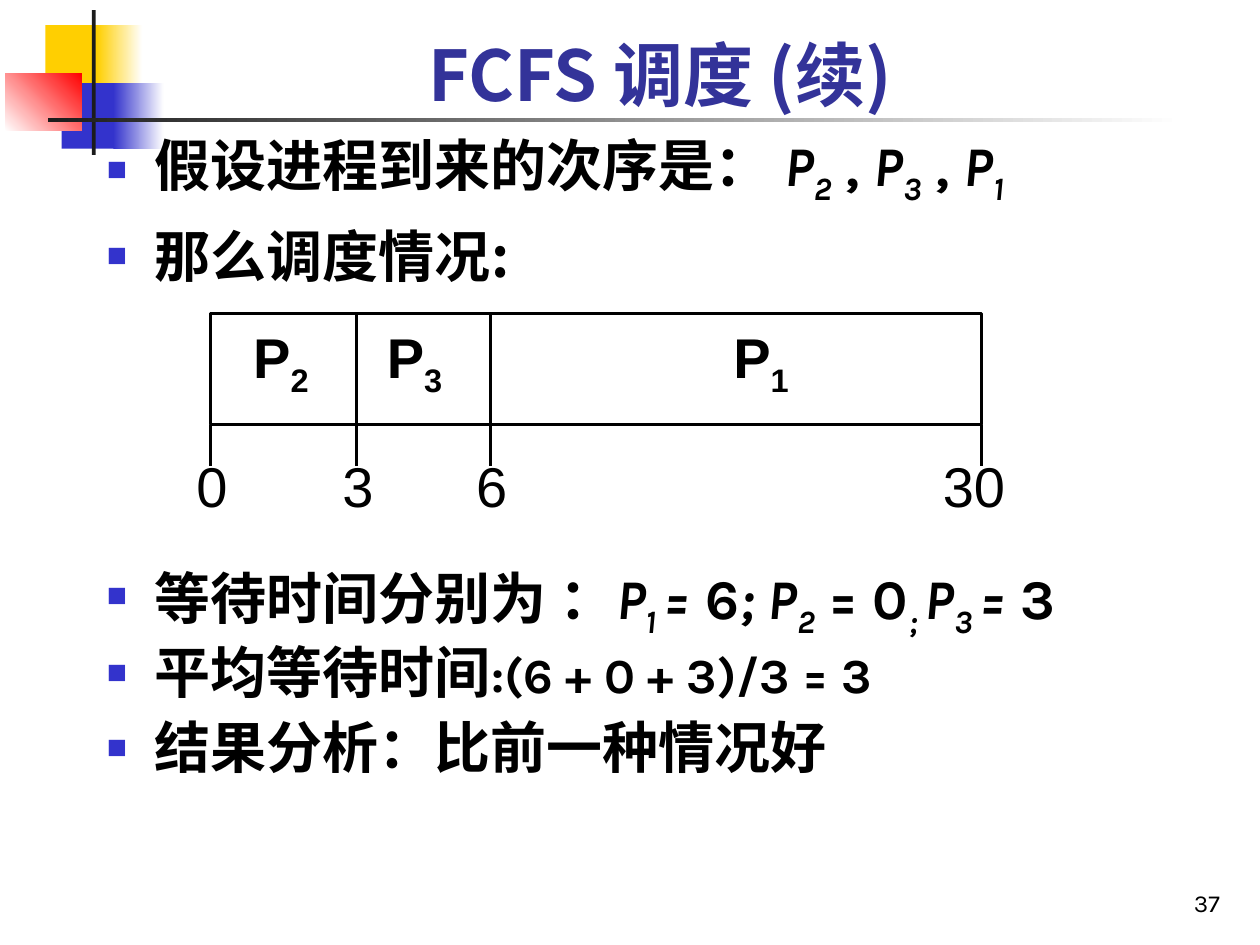
from dataclasses import dataclass
from lxml.etree import SubElement
from pptx import Presentation
from pptx.dml.color import RGBColor
from pptx.enum.shapes import MSO_CONNECTOR, MSO_SHAPE
from pptx.enum.text import MSO_ANCHOR, PP_ALIGN
from pptx.oxml.ns import qn
from pptx.util import Inches, Pt


@dataclass(frozen=True)
class Theme:
    black: str = "000000"
    white: str = "FFFFFF"
    yellow: str = "FFCF01"
    blue: str = "3333CC"
    red: str = "FF0000"
    dark: str = "1C1C1C"
    title: str = "333399"
    title_size: int = 40
    body_size: int = 32
    formula_size: int = 28
    number_size: int = 14
    latin: str = "Karla"
    chinese: str = "Noto Sans CJK SC"
    diagram: str = "Arial"


theme = Theme()


def add_text_box(shapes, left, top, width, height, anchor, wrap=True):
    frame = shapes.add_textbox(Inches(left), Inches(top), Inches(width), Inches(height)).text_frame
    frame.word_wrap = wrap
    frame.vertical_anchor = anchor
    return frame


def write_runs(paragraph, runs, font, size, color=theme.black, bold=True):
    paragraph.font.size = Pt(size)
    paragraph.font.bold = bold
    paragraph.font.color.rgb = RGBColor.from_string(color)
    paragraph.font.name = font
    for text, style in runs:
        run = paragraph.add_run()
        run.text = text
        run.font.name = theme.chinese if "c" in style else font
        properties = run._r.get_or_add_rPr()
        SubElement(properties, qn("a:ea"), typeface=theme.chinese)
        if "i" in style:
            run.font.italic = True
        if "s" in style:
            properties.set("baseline", "-25000")
        if "b" in style:
            run.font.size = Pt(theme.body_size)


presentation = Presentation()
presentation.slide_width = Inches(10)
presentation.slide_height = Inches(7.5)
slide = presentation.slides.add_slide(presentation.slide_layouts[6])

decorations = [
    (0.36, 0.2, 0.48, 0.52, [theme.yellow], 0),
    (0.77, 0.2, 0.36, 0.52, [theme.yellow, theme.white], 0),
    (0.49, 0.66, 0.46, 0.52, [theme.blue], 0),
    (0.9, 0.66, 0.4, 0.52, [theme.blue, theme.white], 0),
    (0.04, 0.58, 0.61, 0.46, [theme.white, theme.red], 45),
    (0.73, 0.08, 0.03, 1.15, [theme.dark], 0),
    (0.38, 0.94, 9, 0.03, [theme.dark, theme.white], 0),
]
for left, top, width, height, colors, angle in decorations:
    shape = slide.shapes.add_shape(
        MSO_SHAPE.RECTANGLE, Inches(left), Inches(top), Inches(width), Inches(height))
    shape.shadow.inherit = False
    shape.line.fill.background()
    if len(colors) == 1:
        shape.fill.solid()
        shape.fill.fore_color.rgb = RGBColor.from_string(colors[0])
    else:
        shape.fill.gradient()
        shape.fill.gradient_angle = angle
        for stop, position, color in zip(shape.fill.gradient_stops, (0, 1), colors):
            stop.position = position
            stop.color.rgb = RGBColor.from_string(color)

number = add_text_box(slide.shapes, 7.7, 6.83, 2.08, 0.5, MSO_ANCHOR.BOTTOM).paragraphs[0]
number.alignment = PP_ALIGN.RIGHT
write_runs(number, [("37", "")], theme.latin, theme.number_size, bold=False)

title = add_text_box(slide.shapes, 0.98, 0.13, 8.52, 0.84, MSO_ANCHOR.BOTTOM).paragraphs[0]
title.alignment = PP_ALIGN.CENTER
write_runs(title, [("FCFS 调度 (续)", "")], theme.chinese, theme.title_size, theme.title)

arrival_order = [
    ("假设进程到来的次序是： ", ""), ("P", "i"), ("2", "is"), (" , ", ""),
    ("P", "i"), ("3", "is"), (" , ", ""), ("P", "i"), ("1", "is"),
]
waiting_times = [
    ("等待时间分别为 ：", ""), ("P", "i"), ("1 ", "is"), ("=", "i"), (" 6", ""),
    ("; P", "i"), ("2", "is"), (" = 0", ""), ("; ", "is"), ("P", "i"),
    ("3 ", "is"), ("= ", "i"), ("3", ""),
]
average_time = [("平均等待时间", "cb"), (":(6 + 0 + 3)/3 = 3", "")]
bullet_blocks = [
    (0.99, 8.11, 1.42, 1, [
        (arrival_order, theme.body_size, 0),
        ([("那么调度情况:", "c")], theme.body_size, 8),
    ]),
    (4.43, 9.21, 1.84, 0.9, [
        (waiting_times, theme.body_size, 0),
        (average_time, theme.formula_size, 7),
        ([("结果分析：比前一种情况好", "c")], theme.body_size, 8),
    ]),
]
for top, width, height, line_spacing, items in bullet_blocks:
    frame = add_text_box(slide.shapes, 0.75, top, width, height, MSO_ANCHOR.TOP)
    for index, (runs, size, space_before) in enumerate(items):
        paragraph = frame.add_paragraph() if index else frame.paragraphs[0]
        paragraph.line_spacing = line_spacing
        paragraph.space_before = Pt(space_before)
        properties = paragraph._p.get_or_add_pPr()
        properties.set("marL", str(Inches(0.38)))
        properties.set("indent", str(-Inches(0.38)))
        SubElement(SubElement(properties, qn("a:buClr")), qn("a:srgbClr"), val=theme.blue)
        SubElement(properties, qn("a:buSzPct"), val="60000")
        SubElement(properties, qn("a:buFont"), typeface=theme.diagram)
        SubElement(properties, qn("a:buChar"), char="■")
        write_runs(paragraph, runs, theme.latin, size)

gantt = slide.shapes.add_group_shape().shapes
bar_left, bar_right, bar_top, bar_bottom, tick_bottom = 1.67, 7.79, 2.49, 3.37, 3.7
bar = gantt.add_shape(
    MSO_SHAPE.RECTANGLE, Inches(bar_left), Inches(bar_top),
    Inches(bar_right - bar_left), Inches(bar_bottom - bar_top))
bar.shadow.inherit = False
bar.fill.solid()
bar.fill.fore_color.rgb = RGBColor.from_string(theme.white)
bar.line.color.rgb = RGBColor.from_string(theme.black)
bar.line.width = Pt(1.75)

for x, start in ((bar_left, bar_bottom), (2.83, bar_top), (3.89, bar_top), (bar_right, bar_bottom)):
    tick = gantt.add_connector(
        MSO_CONNECTOR.STRAIGHT, Inches(x), Inches(start), Inches(x), Inches(tick_bottom))
    tick.line.color.rgb = RGBColor.from_string(theme.black)
    tick.line.width = Pt(1.75)
    SubElement(tick._element.spPr, qn("a:effectLst"))

process_labels = [
    (left, 2.51, 0.64, 0.71, [("P", ""), (index, "s")], True)
    for left, index in ((1.91, "2"), (2.97, "3"), (5.72, "1"))
]
time_labels = [
    (left, 3.53, width, 0.64, [(time, "")], False)
    for left, width, time in ((1.46, 0.44, "0"), (2.62, 0.44, "3"), (3.68, 0.44, "6"), (7.33, 0.8, "30"))
]
for left, top, width, height, runs, bold in process_labels + time_labels:
    label = add_text_box(gantt, left, top, width, height, MSO_ANCHOR.MIDDLE, False).paragraphs[0]
    label.alignment = PP_ALIGN.CENTER
    write_runs(label, runs, theme.diagram, theme.body_size, bold=bold)

presentation.save("out.pptx")
